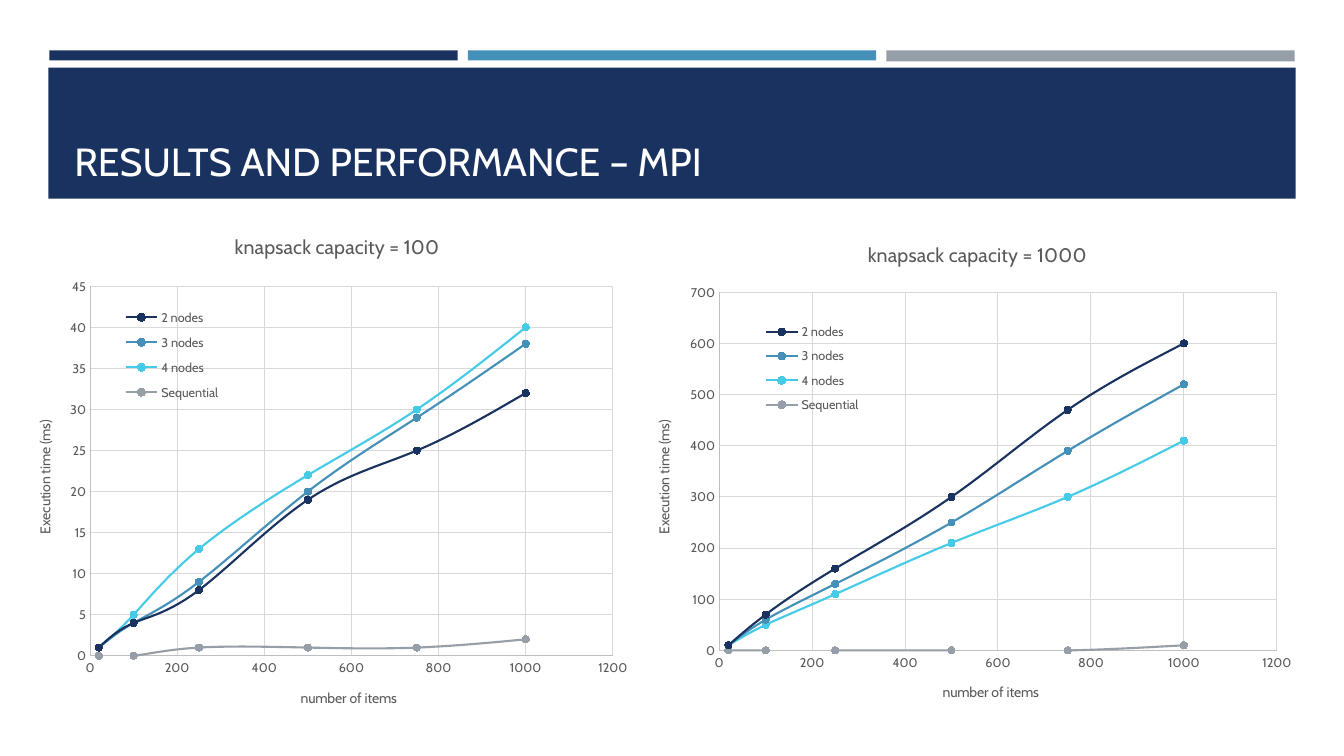
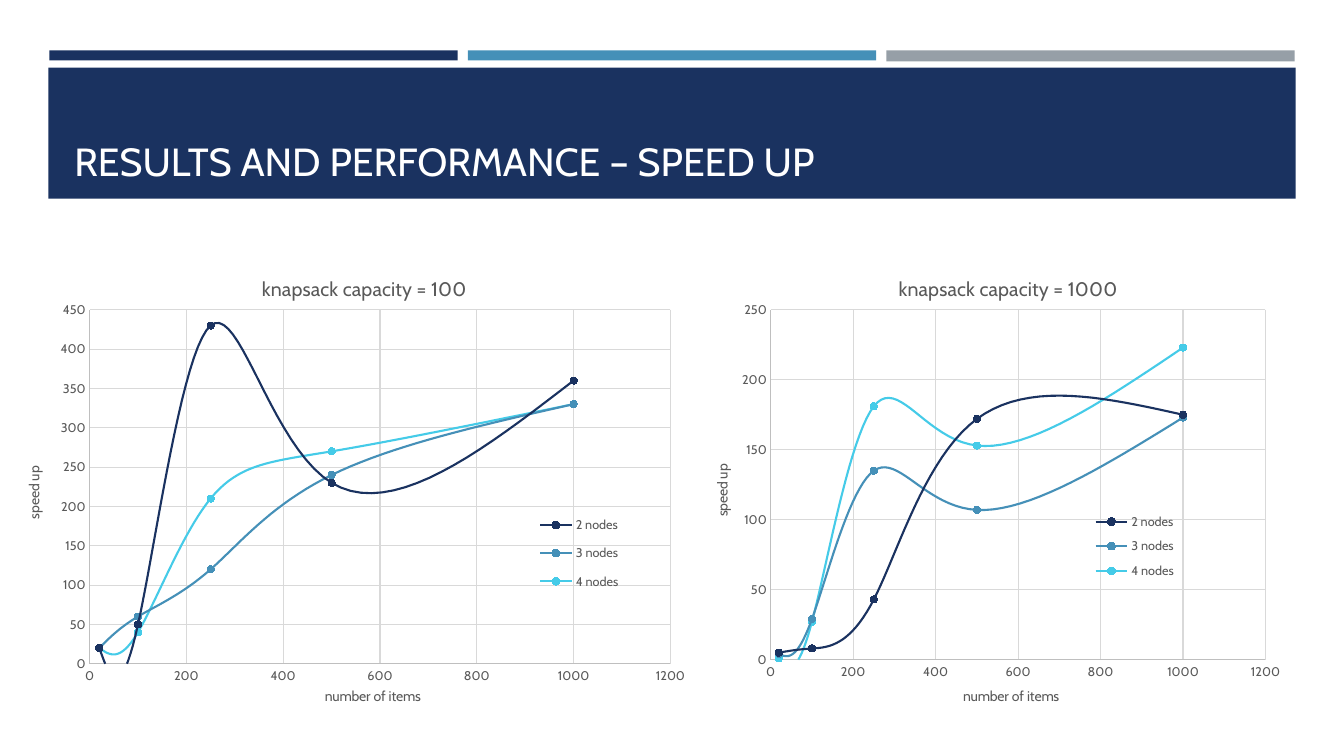
from pptx import Presentation
from pptx import util as u
from pptx.chart import data as chart_data
from pptx.dml import color
from pptx.enum import chart as ec
from pptx.enum import shapes, text
from pptx.oxml import parse_xml
from pptx.oxml.ns import nsdecls

FONT = "Cabin"
NAVY, BLUE, CYAN, GRAY = "1A3260", "4590B8", "45CBE8", "969FA7"
WHITE, INK, AXIS, GRID = "FFFFFF", "595959", "BFBFBF", "D9D9D9"
BANDS = [
    (0.49, 0.5, 4.05, 0.1, NAVY),
    (4.64, 0.5, 4.05, 0.1, BLUE),
    (8.79, 0.5, 4.05, 0.11, GRAY),
    (0.48, 0.67, 12.37, 1.3, NAVY),
]
SERIES = [("2 nodes", NAVY), ("3 nodes", BLUE), ("4 nodes", CYAN), ("Sequential", GRAY)]

SLIDES = [
    {
        "title": "RESULTS AND PERFORMANCE – MPI",
        "measure": "Execution time (ms)",
        "items": [20, 100, 250, 500, 750, 1000],
        "charts": [
            {
                "capacity": 100,
                "box": (0.28, 2.13, 6.13, 4.94),
                "plot": (0.1, 0.144, 0.846, 0.742),
                "legend": (1.23, 2.98, 0.95, 1.08),
                "top": 45, "step": 5,
                "rows": [
                    [1, 4, 8, 19, 25, 32],
                    [1, 4, 9, 20, 29, 38],
                    [1, 5, 13, 22, 30, 40],
                    [0, 0, 1, 1, 1, 2],
                ],
            },
            {
                "capacity": 1000,
                "box": (6.41, 2.21, 6.57, 4.79),
                "plot": (0.11, 0.144, 0.842, 0.742),
                "legend": (7.58, 3.13, 0.95, 1.05),
                "top": 700, "step": 100,
                "rows": [
                    [10, 70, 160, 300, 470, 600],
                    [10, 60, 130, 250, 390, 520],
                    [10, 50, 110, 210, 300, 410],
                    [0, 0, 0, 0, 0, 10],
                ],
            },
        ],
    },
    {
        "title": "RESULTS AND PERFORMANCE – SPEED UP",
        "measure": "speed up",
        "items": [20, 100, 250, 500, 1000],
        "charts": [
            {
                "capacity": 100,
                "box": (0.19, 2.55, 6.85, 4.48),
                "plot": (0.102, 0.117, 0.841, 0.784),
                "legend": (5.32, 5.01, 0.85, 0.96),
                "top": 450, "step": 50,
                "rows": [
                    [20, 50, 430, 230, 360],
                    [20, 60, 120, 240, 330],
                    [20, 40, 210, 270, 330],
                ],
            },
            {
                "capacity": 1000,
                "box": (7.04, 2.55, 5.92, 4.48),
                "plot": (0.102, 0.117, 0.829, 0.775),
                "legend": (10.83, 5.01, 0.85, 0.82),
                "top": 250, "step": 50,
                "rows": [
                    [5, 8, 43, 172, 175],
                    [4, 29, 135, 107, 173],
                    [1, 27, 181, 153, 223],
                ],
            },
        ],
    },
]


def rgb(value):
    return color.RGBColor.from_string(value)


def place(parent, index, fractions, target=""):
    for old in parent.xpath("c:layout"):
        parent.remove(old)
    sizes = "".join(f'<c:{name} val="{value:.3f}"/>' for name, value in zip("xywh", fractions))
    parent.insert(index, parse_xml(
        f'<c:layout {nsdecls("c")}><c:manualLayout>{target}'
        f'<c:xMode val="edge"/><c:yMode val="edge"/>{sizes}</c:manualLayout></c:layout>'))


presentation = Presentation()
presentation.slide_width = u.Inches(13.33)
presentation.slide_height = u.Inches(7.5)

for content in SLIDES:
    slide = presentation.slides.add_slide(presentation.slide_layouts[6])

    for *box, fill in BANDS:
        band = slide.shapes.add_shape(shapes.MSO_SHAPE.RECTANGLE, *map(u.Inches, box))
        band.shadow.inherit = False
        band.fill.solid()
        band.fill.fore_color.rgb = rgb(fill)
        band.line.fill.background()

    title = slide.shapes.add_textbox(*map(u.Inches, (0.64, 0.77, 12.06, 1.11)))
    title.text_frame.word_wrap = True
    title.text_frame.vertical_anchor = text.MSO_ANCHOR.BOTTOM
    paragraph = title.text_frame.paragraphs[0]
    paragraph.text = content["title"]
    paragraph.font.name = FONT
    paragraph.font.size = u.Pt(28)
    paragraph.font.color.rgb = rgb(WHITE)

    for panel in content["charts"]:
        points = chart_data.XyChartData()
        for (name, _), row in zip(SERIES, panel["rows"]):
            series = points.add_series(name)
            for x, y in zip(content["items"], row):
                series.add_data_point(x, y)
        left, top, width, height = panel["box"]
        chart = slide.shapes.add_chart(
            ec.XL_CHART_TYPE.XY_SCATTER_SMOOTH, *map(u.Inches, panel["box"]), points).chart
        chart.font.name = FONT
        chart.font.size = u.Pt(9)
        chart.font.color.rgb = rgb(INK)
        chart.plots[0].vary_by_categories = False

        for series, (_, tint) in zip(chart.plots[0].series, SERIES):
            series.format.line.color.rgb = rgb(tint)
            series.format.line.width = u.Pt(1.5)
            series.marker.style = ec.XL_MARKER_STYLE.CIRCLE
            series.marker.size = 5
            series.marker.format.fill.solid()
            series.marker.format.fill.fore_color.rgb = rgb(tint)
            series.marker.format.line.color.rgb = rgb(tint)
        for smooth in chart.element.xpath(".//c:smooth"):
            smooth.set("val", "1")

        chart.has_title = True
        headings = [(chart.chart_title, f"knapsack capacity = {panel['capacity']}", 14)]
        for axis, label, maximum, step in (
            (chart.category_axis, "number of items", 1200, 200),
            (chart.value_axis, content["measure"], panel["top"], panel["step"]),
        ):
            axis.minimum_scale = 0
            axis.maximum_scale = maximum
            axis.major_unit = step
            axis.major_tick_mark = axis.minor_tick_mark = ec.XL_TICK_MARK.NONE
            axis.has_major_gridlines = True
            for line, tint in (
                (axis.format.line, AXIS),
                (axis.major_gridlines.format.line, GRID),
            ):
                line.color.rgb = rgb(tint)
                line.width = u.Pt(0.75)
            headings.append((axis.axis_title, label, 10))
        for heading, label, size in headings:
            paragraph = heading.text_frame.paragraphs[0]
            paragraph.text = label
            paragraph.font.name = FONT
            paragraph.font.size = u.Pt(size)
            paragraph.font.bold = False
            paragraph.font.color.rgb = rgb(INK)

        chart.has_legend = True
        chart.legend.position = ec.XL_LEGEND_POSITION.RIGHT
        chart.legend.include_in_layout = False
        x, y, w, h = panel["legend"]
        place(chart.element.xpath(".//c:legend")[0], 1,
              ((x - left) / width, (y - top) / height, w / width, h / height))
        place(chart.element.xpath(".//c:plotArea")[0], 0, panel["plot"],
              '<c:layoutTarget val="inner"/>')

presentation.save("out.pptx")
